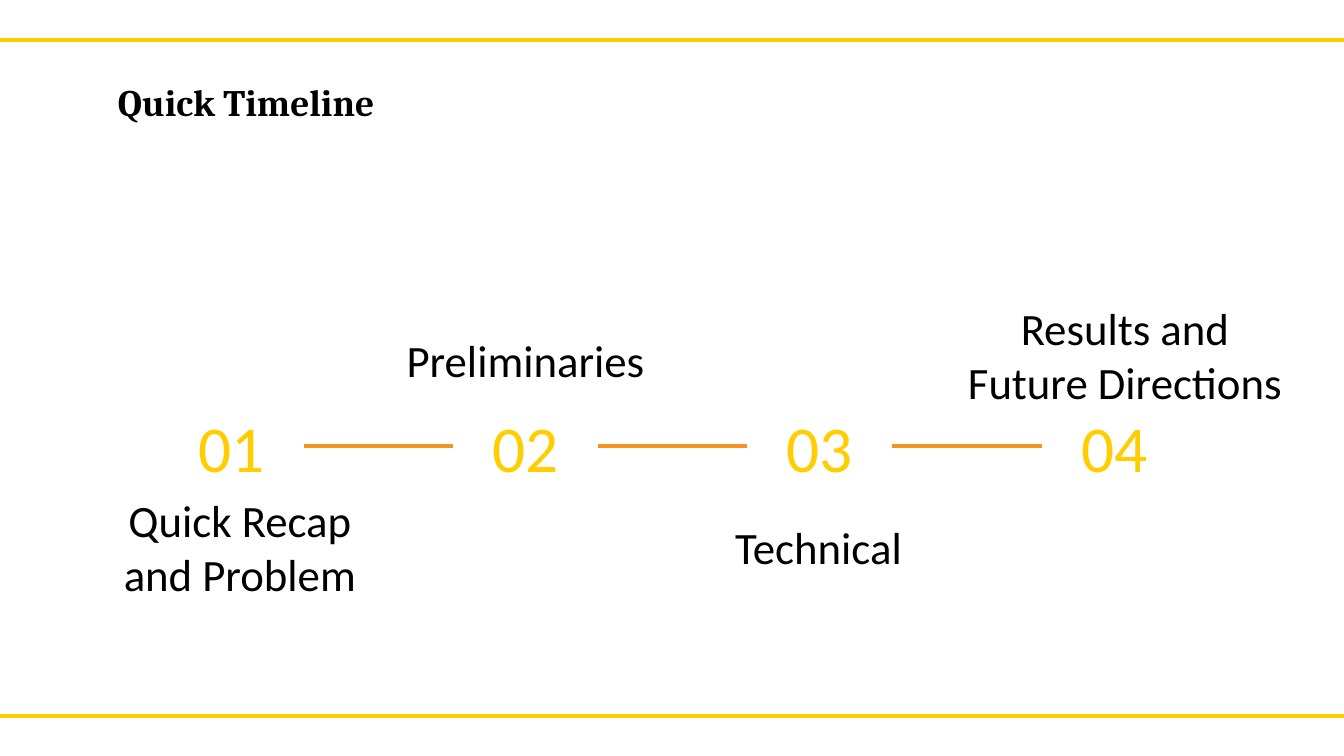
"""Build the Quick Timeline slide."""
import pptx
import pptx.util
import pptx.dml.color
import pptx.enum.shapes
import pptx.enum.text
import pptx.oxml.ns
import lxml.etree

Inches = pptx.util.Inches
ALIGN = pptx.enum.text.PP_ALIGN
ANCHOR = pptx.enum.text.MSO_ANCHOR

TITLE = "Quick Timeline"
STEPS = [
    ("01", "Quick Recap and Problem", (0.77, 3.87, 2.03)),
    ("02", "Preliminaries", (2.89, 2.48, 2.04)),
    ("03", "Technical", (5.15, 3.87, 1.88)),
    ("04", "Results and Future Directions", (7.04, 2.44, 2.66)),
]
THEME = {
    "gold": "FFCD00", "orange": "F6921D", "black": "000000",
    "head": "Cambria", "body": "Calibri",
    "title": 20, "label": 24, "number": 35, "line": 2.25,
}
WIDTH = 10
HEIGHT = WIDTH * 9 / 16
RULES = (0.3, 5.33)
START, PITCH, AXIS = 1.72, 2.19, 3.32
BOX, TALL, LOW = 1.08, 0.73, 0.39


def paint(name):
    return pptx.dml.color.RGBColor.from_string(THEME[name])


def write(slide, text, at, size="label", font="body", color="black",
          bold=False, align=ALIGN.CENTER, anchor=ANCHOR.MIDDLE):
    frame = slide.shapes.add_textbox(*map(Inches, at)).text_frame
    frame.word_wrap = True
    frame.vertical_anchor = anchor
    frame.margin_left = frame.margin_right = Inches(0.1)
    frame.margin_top = frame.margin_bottom = Inches(0.1)
    para = frame.paragraphs[0]
    para.alignment = align
    run = para.add_run()
    run.text = text
    run.font.name = THEME[font]
    run.font.size = pptx.util.Pt(THEME[size])
    run.font.bold = bold
    run.font.color.rgb = paint(color)


def rule(slide, left, right, y, color):
    line = slide.shapes.add_connector(
        pptx.enum.shapes.MSO_CONNECTOR.STRAIGHT,
        Inches(left), Inches(y), Inches(right), Inches(y))
    line.line.color.rgb = paint(color)
    line.line.width = pptx.util.Pt(THEME["line"])
    lxml.etree.SubElement(line._element.spPr, pptx.oxml.ns.qn("a:effectLst"))


def main():
    deck = pptx.Presentation()
    deck.slide_width, deck.slide_height = Inches(WIDTH), Inches(HEIGHT)
    slide = deck.slides.add_slide(deck.slide_layouts[6])
    for y in RULES:
        rule(slide, 0, WIDTH, y, "gold")
    write(slide, TITLE, (0.78, 0.49, 8.44, 0.63), size="title", font="head",
          bold=True, align=ALIGN.LEFT, anchor=ANCHOR.TOP)
    for i, (number, label, (left, top, width)) in enumerate(STEPS):
        mid = START + i * PITCH
        if i:
            rule(slide, mid - PITCH + BOX / 2, mid - BOX / 2, AXIS, "orange")
        write(slide, number, (mid - BOX / 2, AXIS - TALL / 2, BOX, TALL),
              size="number", color="gold")
        write(slide, label, (left, top, width, LOW))
    deck.save("out.pptx")


if __name__ == "__main__":
    main()
